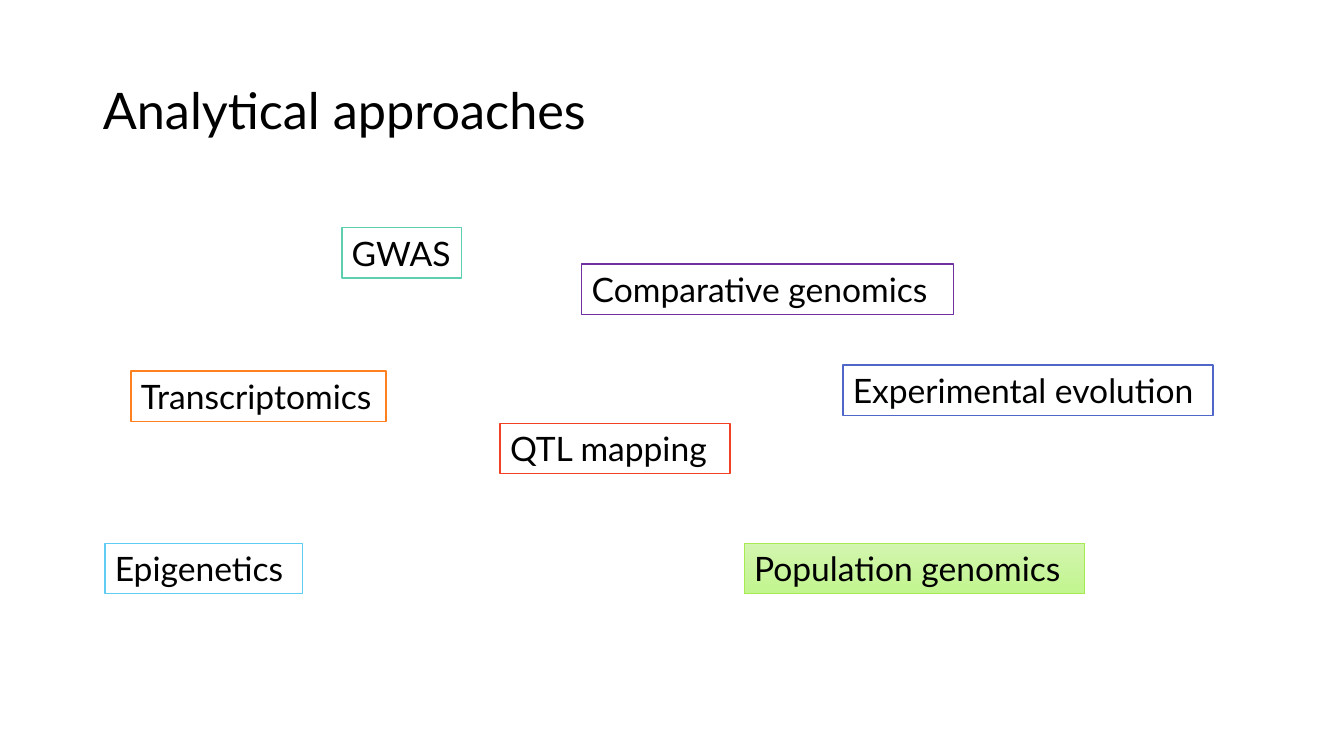
from pptx import Presentation
from pptx.dml.color import RGBColor
from pptx.enum.shapes import MSO_SHAPE
from pptx.enum.text import MSO_ANCHOR, MSO_AUTO_SIZE, PP_ALIGN
from pptx.util import Emu, Pt

RECTANGLE = MSO_SHAPE.RECTANGLE
MIDDLE = MSO_ANCHOR.MIDDLE
TOP = MSO_ANCHOR.TOP
NO_AUTOFIT = MSO_AUTO_SIZE.NONE
LEFT = PP_ALIGN.LEFT

EMU_PER_PX = 9144  # 100 px to the inch
FONT = "Lato"
TITLE_ONLY_LAYOUT = 5
BOX_HEIGHT = 50
COLORS = {
    "black": "000000",
    "white": "FFFFFF",
    "orange": "FF8021",
    "teal": "5DCEAF",
    "red": "F14124",
    "purple": "7030A0",
    "blue": "4E67C8",
    "lime": "A7EA52",
    "sky": "5ECCF3",
    "lime_top": "D2F5AF",
    "lime_bottom": "C2F58F",
}
# label, left, top, width, outline colour
APPROACHES = [
    ("Transcriptomics", 130, 368, 253, "orange"),
    ("GWAS", 339, 226, 119, "teal"),
    ("QTL mapping", 496, 420, 228, "red"),
    ("Comparative genomics", 577, 262, 369, "purple"),
    ("Experimental evolution", 836, 362, 367, "blue"),
    ("Population genomics", 738, 539, 338, "lime"),
    ("Epigenetics", 104, 539, 196, "sky"),
]
HIGHLIGHTED = "Population genomics"


def px(length):
    return Emu(length * EMU_PER_PX)


def color(name):
    return RGBColor.from_string(COLORS[name])


def write(frame, text, size, anchor):
    """Fill a text frame with one left-aligned black paragraph."""
    frame.text = text
    frame.auto_size = NO_AUTOFIT
    frame.word_wrap = True
    frame.vertical_anchor = anchor
    para = frame.paragraphs[0]
    para.alignment = LEFT
    font = para.runs[0].font
    font.name = FONT
    font.size = Pt(size)
    font.color.rgb = color("black")


def set_title(slide, text):
    title = slide.shapes.title
    title.left, title.top = px(92), px(40)
    title.width, title.height = px(1150), px(145)
    write(title.text_frame, text, 36, MIDDLE)
    title.text_frame.paragraphs[0].line_spacing = 0.9


def add_approach(slide, label, left, top, width, outline):
    box = slide.shapes.add_shape(RECTANGLE, px(left), px(top), px(width), px(BOX_HEIGHT))
    box.shadow.inherit = False
    box.fill.solid()
    box.fill.fore_color.rgb = color("white")
    box.line.color.rgb = color(outline)
    box.line.width = Pt(1)
    write(box.text_frame, label, 24, TOP)
    box.text_frame.margin_right = 0
    return box


def highlight(box):
    """Give a box a top-to-bottom green gradient and a thin outline."""
    box.fill.gradient()
    box.fill.gradient_angle = 270
    for stop, name in zip(box.fill.gradient_stops, ("lime_top", "lime_bottom")):
        stop.color.rgb = color(name)
    box.line.width = Pt(0.5)


def main():
    deck = Presentation()
    deck.slide_width, deck.slide_height = px(1333), px(750)
    slide = deck.slides.add_slide(deck.slide_layouts[TITLE_ONLY_LAYOUT])
    set_title(slide, "Analytical approaches")
    for approach in APPROACHES:
        box = add_approach(slide, *approach)
        if approach[0] == HIGHLIGHTED:
            highlight(box)
    deck.save("out.pptx")


if __name__ == "__main__":
    main()
